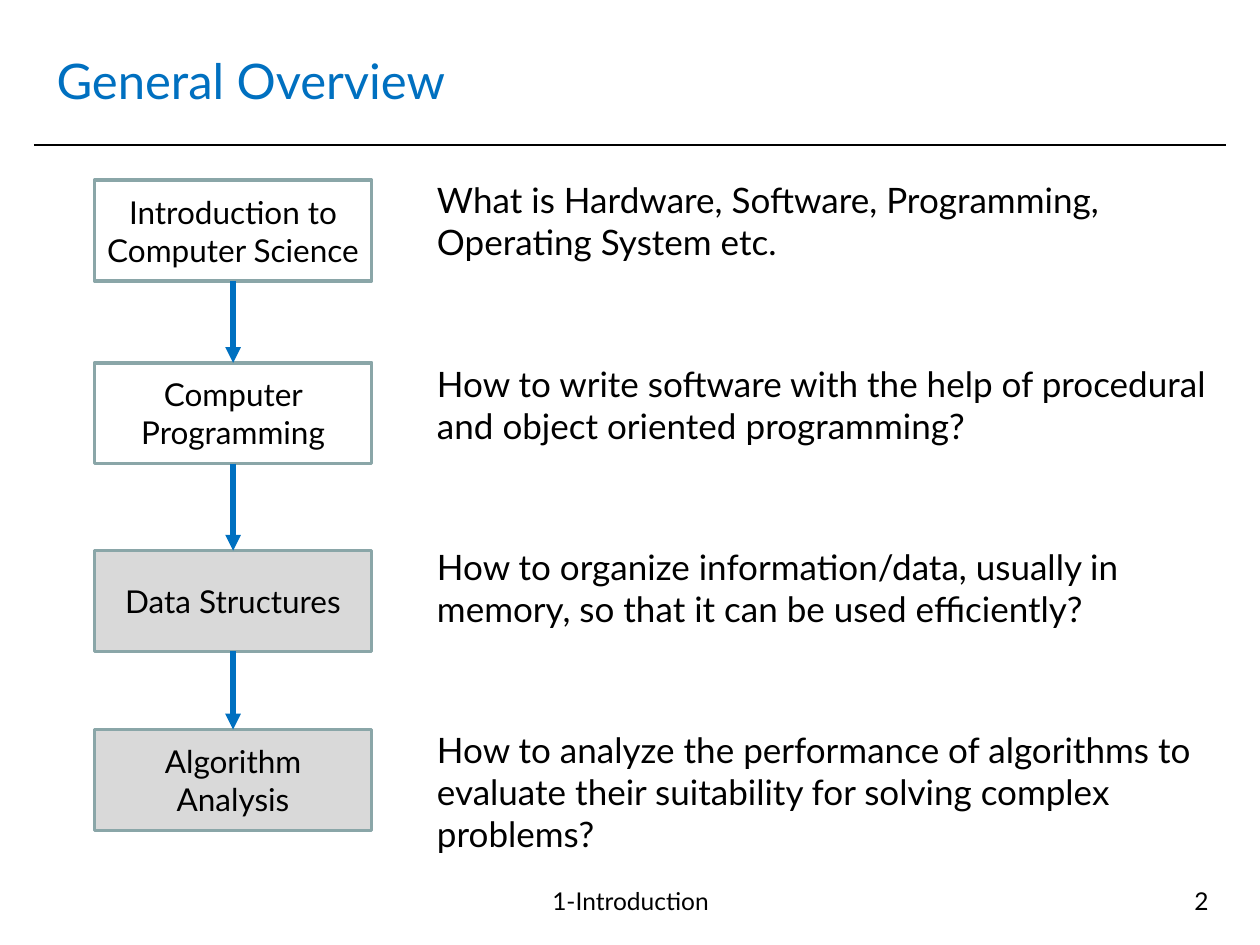
from lxml import etree
from pptx import Presentation
from pptx.dml.color import RGBColor
from pptx.enum.shapes import MSO_CONNECTOR, MSO_SHAPE
from pptx.enum.text import MSO_ANCHOR, PP_ALIGN
from pptx.oxml.ns import qn
from pptx.util import Inches, Pt

LEFT, CENTER, RIGHT = PP_ALIGN.LEFT, PP_ALIGN.CENTER, PP_ALIGN.RIGHT
TOP, MIDDLE = MSO_ANCHOR.TOP, MSO_ANCHOR.MIDDLE
STRAIGHT, RECTANGLE = MSO_CONNECTOR.STRAIGHT, MSO_SHAPE.RECTANGLE
BOTTOM_SITE, TOP_SITE = 2, 0

BLACK, BLUE, GREY, SAGE = "000000", "0070C0", "D9D9D9", "8AA6A8"

# Grid: a column of topic boxes and a column of questions
SLIDE_WIDTH, SLIDE_HEIGHT = 10, 7.5
BOX_LEFT, BOX_WIDTH, BOX_HEIGHT = 0.75, 2.2, 0.8
QUESTION_LEFT, QUESTION_WIDTH = 3.37, 6.44
QUESTION_TOP, QUESTION_STEP = 1.37, 1.455
FOOTER_TOP, FOOTER_HEIGHT = 6.98, 0.52

# Box top, fill, topic, question
TOPICS = [
    (1.43, None, "Introduction to Computer Science",
     "What is Hardware, Software, Programming, Operating System etc."),
    (2.88, None, "Computer Programming",
     "How to write software with the help of procedural and object oriented programming?"),
    (4.37, GREY, "Data Structures",
     "How to organize information/data, usually in memory, so that it can be used efficiently?"),
    (5.79, GREY, "Algorithm Analysis",
     "How to analyze the performance of algorithms to evaluate their suitability "
     "for solving complex problems?"),
]


def color(value):
    return RGBColor.from_string(value)


def write(shape, text, size, align=LEFT, anchor=TOP, ink=BLACK):
    frame = shape.text_frame
    frame.word_wrap = True
    frame.vertical_anchor = anchor
    para = frame.paragraphs[0]
    para.alignment = align
    span = para.add_run()
    span.text = text
    for name, value in {"name": "Lato", "size": Pt(size)}.items():
        setattr(span.font, name, value)
    span.font.color.rgb = color(ink)


def add_text(page, area, text, size, **layout):
    box = page.shapes.add_textbox(*map(Inches, area))
    write(box, text, size, **layout)


def add_topic(page, top, fill, text):
    area = (BOX_LEFT, top, BOX_WIDTH, BOX_HEIGHT)
    box = page.shapes.add_shape(RECTANGLE, *map(Inches, area))
    box.shadow.inherit = False
    if fill:
        box.fill.solid()
        box.fill.fore_color.rgb = color(fill)
    else:
        box.fill.background()
    box.line.color.rgb = color(SAGE)
    box.line.width = Pt(2)
    write(box, text, 18, align=CENTER, anchor=MIDDLE)
    return box


def add_line(page, ends, ink, width):
    line = page.shapes.add_connector(STRAIGHT, *map(Inches, ends))
    line.line.color.rgb = color(ink)
    line.line.width = Pt(width)
    etree.SubElement(line._element.spPr, qn("a:effectLst"))
    return line


def add_arrow(page, upper, lower):
    arrow = add_line(page, (0, 0, 0, 0), BLUE, 3)
    arrow.begin_connect(upper, BOTTOM_SITE)
    arrow.end_connect(lower, TOP_SITE)
    etree.SubElement(arrow.line._get_or_add_ln(), qn("a:tailEnd"), type="triangle")


def main():
    deck = Presentation()
    deck.slide_width, deck.slide_height = Inches(SLIDE_WIDTH), Inches(SLIDE_HEIGHT)
    page = deck.slides.add_slide(deck.slide_layouts[6])

    # Heading and rule
    add_line(page, (0.27, 1.15, SLIDE_WIDTH - 0.27, 1.15), BLACK, 1)
    add_text(page, (0.35, 0.21, 9.29, 0.85), "General Overview", 28,
             anchor=MIDDLE, ink=BLUE)

    # Topics, each with its question
    boxes = []
    for row, (top, fill, topic, question) in enumerate(TOPICS):
        boxes.append(add_topic(page, top, fill, topic))
        question_top = QUESTION_TOP + row * QUESTION_STEP
        add_text(page, (QUESTION_LEFT, question_top, QUESTION_WIDTH, 0.77), question, 20)

    # Arrows from each topic to the next
    for upper, lower in zip(boxes, boxes[1:]):
        add_arrow(page, upper, lower)

    # Footer and page number
    add_text(page, (3.35, FOOTER_TOP, 3.31, FOOTER_HEIGHT), "1-Introduction", 14, align=CENTER)
    add_text(page, (7.36, FOOTER_TOP, 2.33, FOOTER_HEIGHT), "2", 14, align=RIGHT)

    deck.save("out.pptx")


if __name__ == "__main__":
    main()
